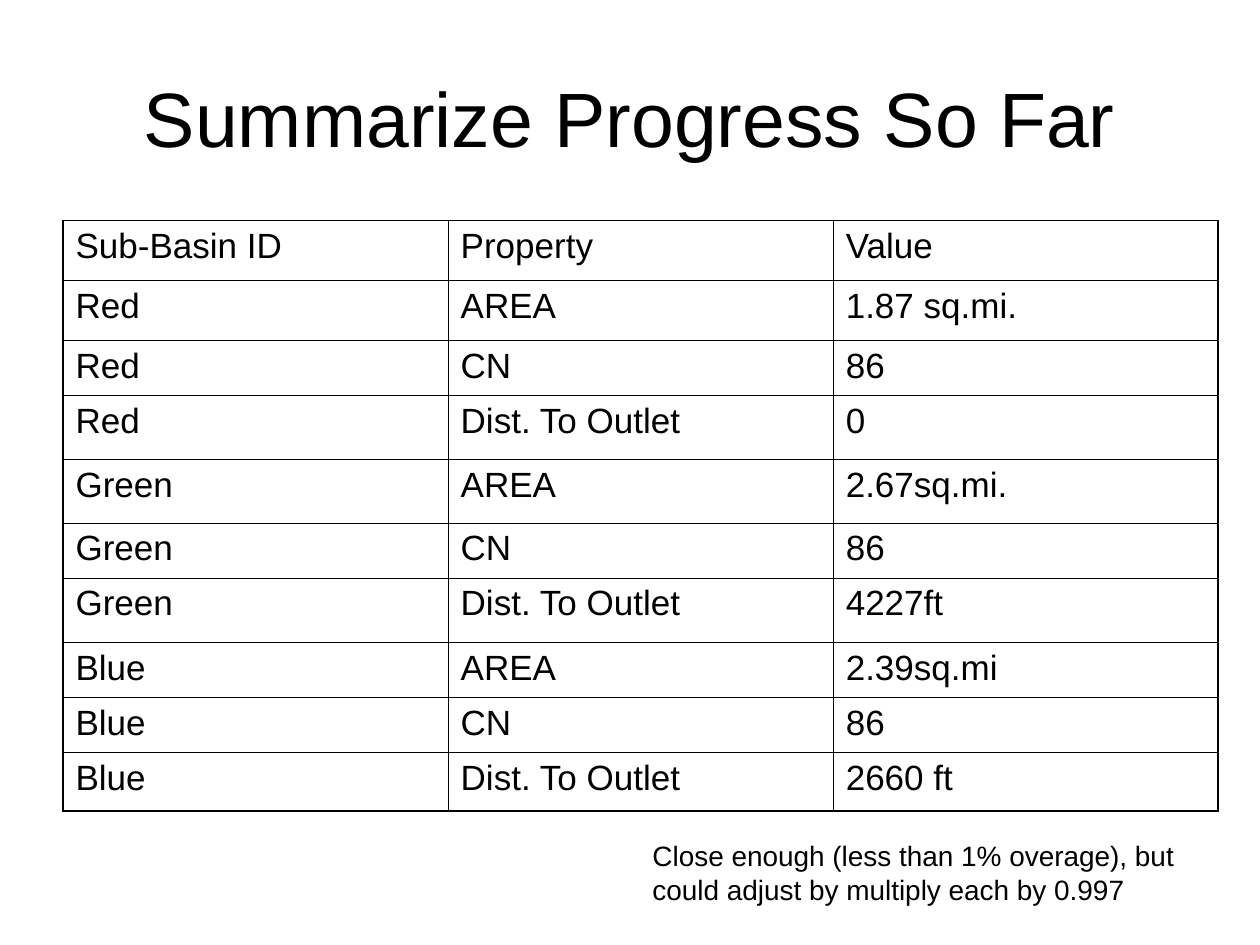
from dataclasses import dataclass
from itertools import product

from lxml.etree import SubElement
from pptx import Presentation
from pptx.dml.color import RGBColor
from pptx.enum.text import MSO_ANCHOR, MSO_AUTO_SIZE, PP_ALIGN
from pptx.oxml.ns import qn
from pptx.util import Inches, Pt


@dataclass(frozen=True)
class Theme:
    """Colours, font, type sizes and rule widths of the slide."""
    ink: str = "000000"
    paper: str = "FFFFFF"
    font: str = "Arial"
    title_size: int = 44
    table_size: int = 20
    note_size: int = 16
    outer_rule: float = 1.08
    inner_rule: float = 0.45


THEME = Theme()
HEADER = ("Sub-Basin ID", "Property", "Value")
PROPERTIES = ("AREA", "CN", "Dist. To Outlet")
BASINS = {
    "Red": ("1.87 sq.mi.", "86", "0"),
    "Green": ("2.67sq.mi.", "86", "4227ft"),
    "Blue": ("2.39sq.mi", "86", "2660 ft"),
}
ROW_WEIGHTS = (60, 60, 55, 64, 63, 55, 64, 55, 55, 59)
TITLE = "Summarize Progress So Far"
NOTE = "Close enough (less than 1% overage), but could adjust by multiply each by 0.997"


def write(frame, text, size, align=PP_ALIGN.LEFT):
    """Put one formatted paragraph in a text frame."""
    frame.text = text
    frame.word_wrap = True
    para = frame.paragraphs[0]
    para.alignment = align
    font = para.runs[0].font
    font.name = THEME.font
    font.size = Pt(size)
    font.color.rgb = RGBColor.from_string(THEME.ink)


def add_title(slide, left, top, width, height):
    """Place and fill the title placeholder."""
    title = slide.shapes.title
    title.left, title.top, title.width, title.height = left, top, width, height
    write(title.text_frame, TITLE, THEME.title_size, PP_ALIGN.CENTER)
    title.text_frame.vertical_anchor = MSO_ANCHOR.MIDDLE


def rule_cell(cell, edges):
    """Draw the four borders of a cell, heavier on the table's outer edges."""
    properties = cell._tc.get_or_add_tcPr()
    for side in ("L", "R", "T", "B"):
        width = THEME.outer_rule if edges[side] else THEME.inner_rule
        line = SubElement(properties, qn(f"a:ln{side}"), w=str(Pt(width)))
        fill = SubElement(line, qn("a:solidFill"))
        SubElement(fill, qn("a:srgbClr"), val=THEME.ink)


def add_basin_table(slide, left, top, width, height):
    """Add the ruled table of sub-basin properties."""
    records = [HEADER] + [
        (basin, name, value)
        for basin, values in BASINS.items()
        for name, value in zip(PROPERTIES, values)
    ]
    last_row, last_column = len(records) - 1, len(HEADER) - 1
    table = slide.shapes.add_table(
        len(records), len(HEADER), left, top, width, height).table
    table.first_row = table.horz_banding = False
    for row, weight in zip(table.rows, ROW_WEIGHTS):
        row.height = int(height * weight / sum(ROW_WEIGHTS))
    for row, column in product(range(len(records)), range(len(HEADER))):
        cell = table.cell(row, column)
        write(cell.text_frame, records[row][column], THEME.table_size)
        rule_cell(cell, {"L": column == 0, "R": column == last_column,
                         "T": row == 0, "B": row == last_row})
        cell.fill.background()


def add_note(slide, left, top, width, height):
    """Add the remark below the table."""
    box = slide.shapes.add_textbox(left, top, width, height)
    write(box.text_frame, NOTE, THEME.note_size)
    box.text_frame.auto_size = MSO_AUTO_SIZE.SHAPE_TO_FIT_TEXT


def main():
    """Build and save the slide."""
    deck = Presentation()
    deck.slide_width, deck.slide_height = Inches(10), Inches(7.5)
    slide = deck.slides.add_slide(deck.slide_layouts[5])
    slide.background.fill.solid()
    slide.background.fill.fore_color.rgb = RGBColor.from_string(THEME.paper)
    margin = Inches(0.5)
    add_title(slide, margin, Inches(0.3), deck.slide_width - 2 * margin, Inches(1.25))
    add_basin_table(slide, margin, Inches(1.75), Inches(9.17), Inches(4.69))
    add_note(slide, Inches(5.08), Inches(6.61), Inches(4.75), Inches(0.64))
    deck.save("out.pptx")


if __name__ == "__main__":
    main()
